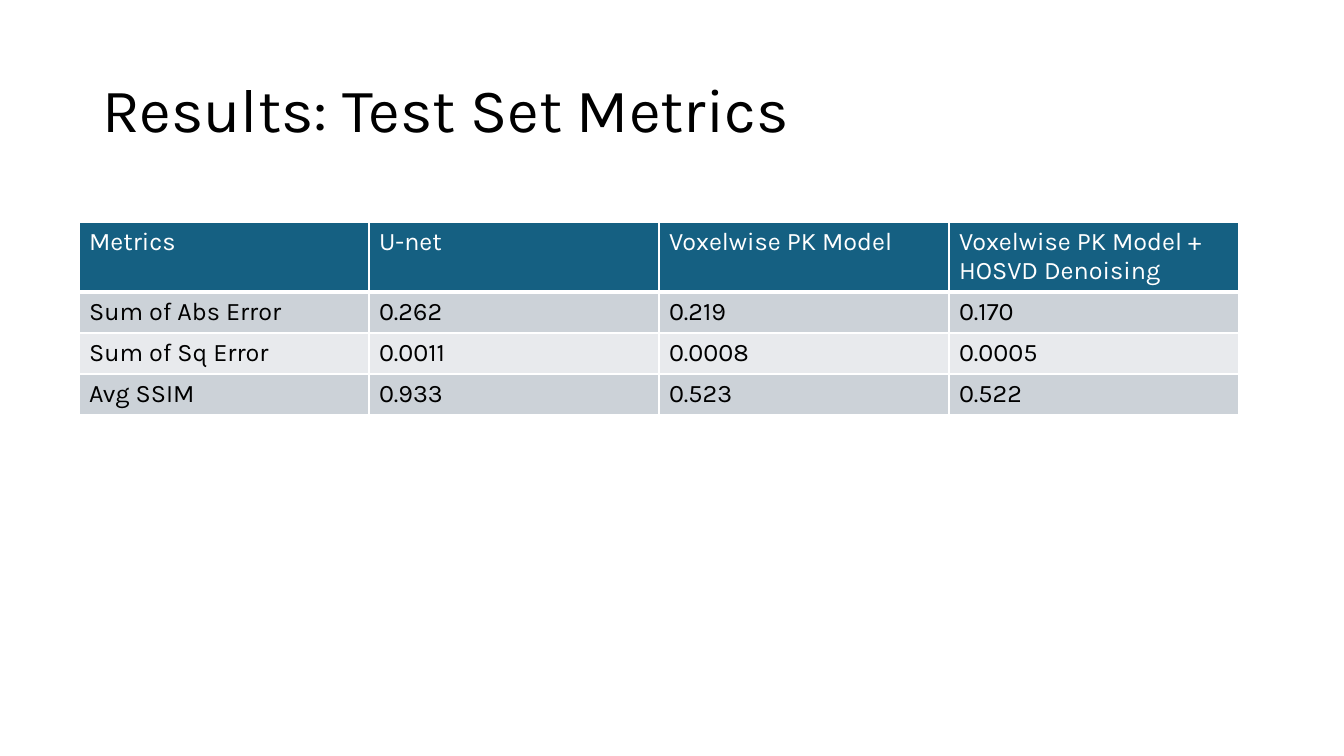
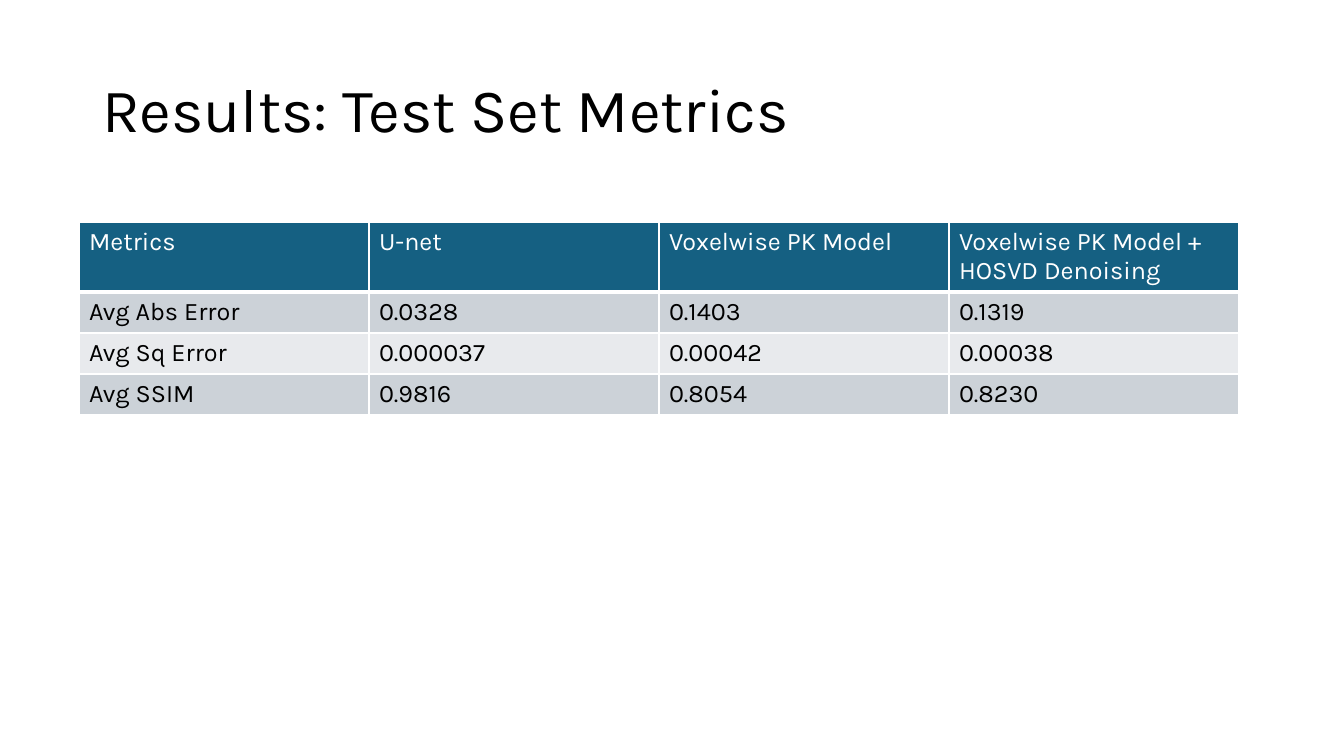
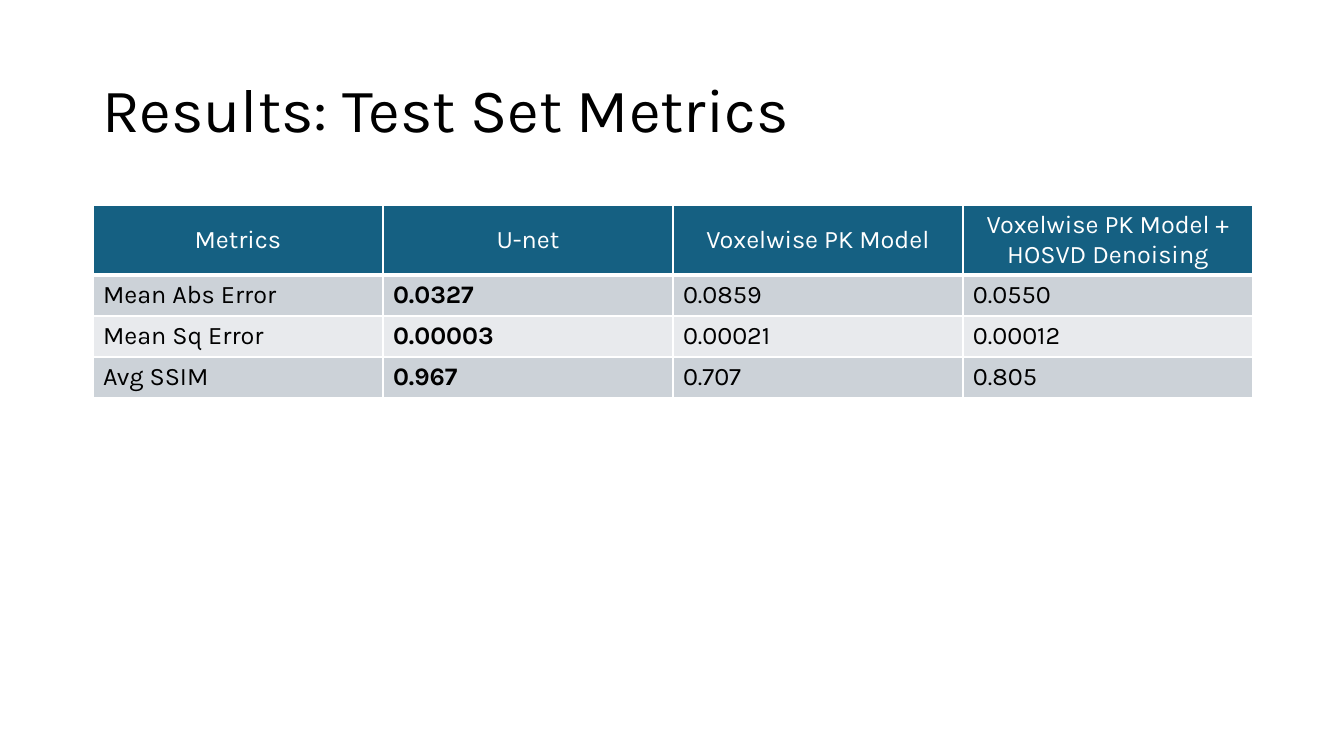
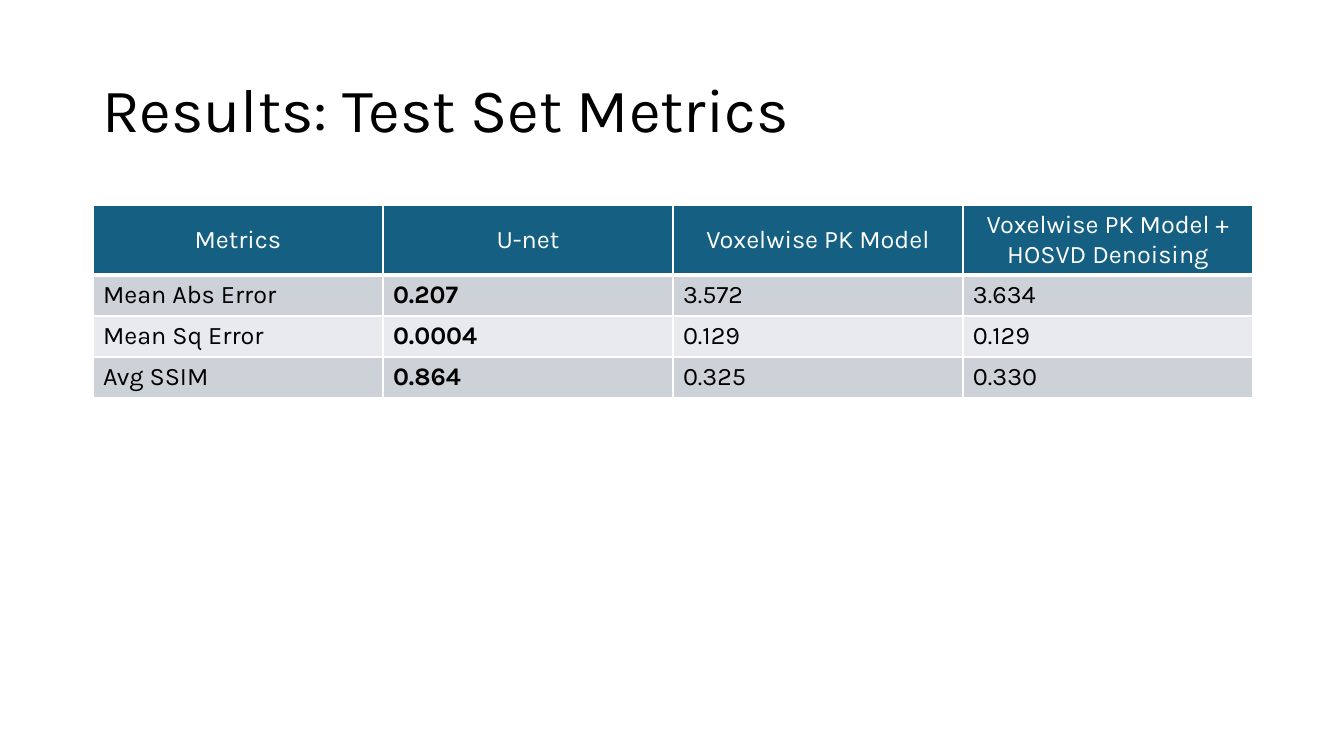
from lxml import etree
from pptx import Presentation
from pptx import util as u
from pptx.dml import color
from pptx.enum import text
from pptx.oxml import ns

# Shared style
PX_PER_INCH = 100.8
FONT = "Karla"
BLACK, WHITE = "000000", "FFFFFF"
HEADER_FILL = "156082"
BAND_FILLS = ("CCD2D8", "E8EAED")
COL_W, HEADER_H, ROW_H = 290, 70, 41
TITLE = "Results: Test Set Metrics"
HEADERS = ["Metrics", "U-net", "Voxelwise PK Model", "Voxelwise PK Model + HOSVD Denoising"]


def px(*lengths):
    return [u.Emu(round(n * 914400 / PX_PER_INCH)) for n in lengths]


def rgb(hex_value):
    return color.RGBColor.from_string(hex_value)


# Table position, whether headers are centred and U-net is bold, and body rows
slides = [
    (79, 222, False, [
        ["Sum of Abs Error", "0.262", "0.219", "0.170"],
        ["Sum of Sq Error", "0.0011", "0.0008", "0.0005"],
        ["Avg SSIM", "0.933", "0.523", "0.522"]]),
    (79, 222, False, [
        ["Avg Abs Error", "0.0328", "0.1403", "0.1319"],
        ["Avg Sq Error", "0.000037", "0.00042", "0.00038"],
        ["Avg SSIM", "0.9816", "0.8054", "0.8230"]]),
    (93, 205, True, [
        ["Mean Abs Error", "0.0327", "0.0859", "0.0550"],
        ["Mean Sq Error", "0.00003", "0.00021", "0.00012"],
        ["Avg SSIM", "0.967", "0.707", "0.805"]]),
    (93, 205, True, [
        ["Mean Abs Error", "0.207", "3.572", "3.634"],
        ["Mean Sq Error", "0.0004", "0.129", "0.129"],
        ["Avg SSIM", "0.864", "0.325", "0.330"]]),
]

prs = Presentation()
prs.slide_width, prs.slide_height = px(1344, 756)

for left, top, emphasis, body in slides:
    s = prs.slides.add_slide(prs.slide_layouts[5])

    # Title
    title = s.shapes.title
    title.left, title.top, title.width, title.height = px(92, 40, 1159, 146)
    tf = title.text_frame
    tf.text = TITLE
    tf.vertical_anchor = text.MSO_ANCHOR.MIDDLE
    p = tf.paragraphs[0]
    p.alignment = text.PP_ALIGN.LEFT
    p.line_spacing = 0.9
    p.font.name, p.font.size = FONT, u.Pt(44)
    p.font.color.rgb = rgb(BLACK)

    # Metrics table
    rows = [HEADERS] + body
    heights = [HEADER_H] + [ROW_H] * len(body)
    table = s.shapes.add_table(len(rows), len(HEADERS),
                               *px(left, top, COL_W * len(HEADERS), sum(heights))).table
    for col in table.columns:
        col.width = px(COL_W)[0]
    for i, values in enumerate(rows):
        table.rows[i].height = px(heights[i])[0]
        header = i == 0
        for j, value in enumerate(values):
            cell = table.cell(i, j)

            # Cell borders
            tc_pr = cell._tc.get_or_add_tcPr()
            for side in "LRTB":
                width = u.Pt(3 if header and side == "B" else 1)
                ln = etree.SubElement(tc_pr, ns.qn(f"a:ln{side}"), w=str(width))
                fill = etree.SubElement(ln, ns.qn("a:solidFill"))
                etree.SubElement(fill, ns.qn("a:srgbClr"), val=WHITE)

            # Cell fill and text
            cell.fill.solid()
            cell.fill.fore_color.rgb = rgb(HEADER_FILL if header else BAND_FILLS[(i - 1) % 2])
            cell.text = value
            p = cell.text_frame.paragraphs[0]
            p.font.name, p.font.size = FONT, u.Pt(18)
            p.font.bold = emphasis and not header and j == 1
            p.font.color.rgb = rgb(WHITE if header else BLACK)
            if emphasis and header:
                p.alignment = text.PP_ALIGN.CENTER
                cell.vertical_anchor = text.MSO_ANCHOR.MIDDLE

prs.save("out.pptx")
